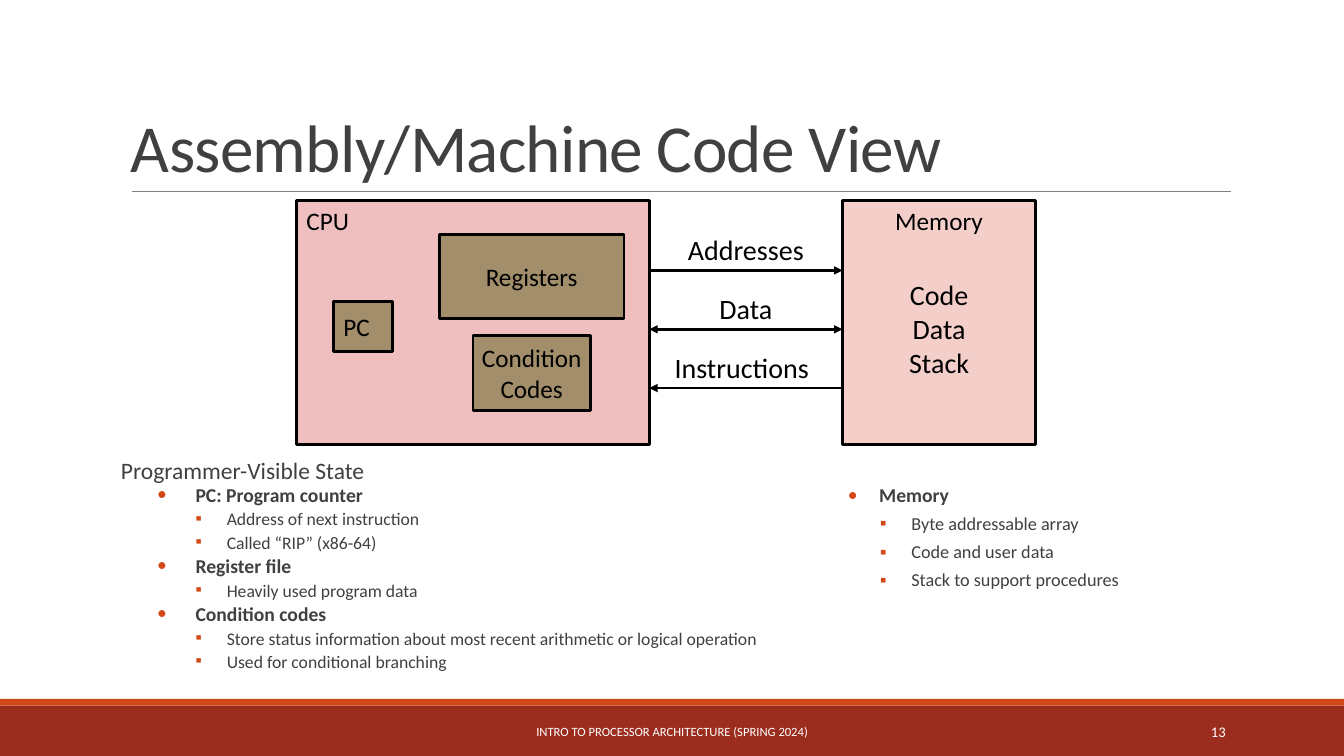
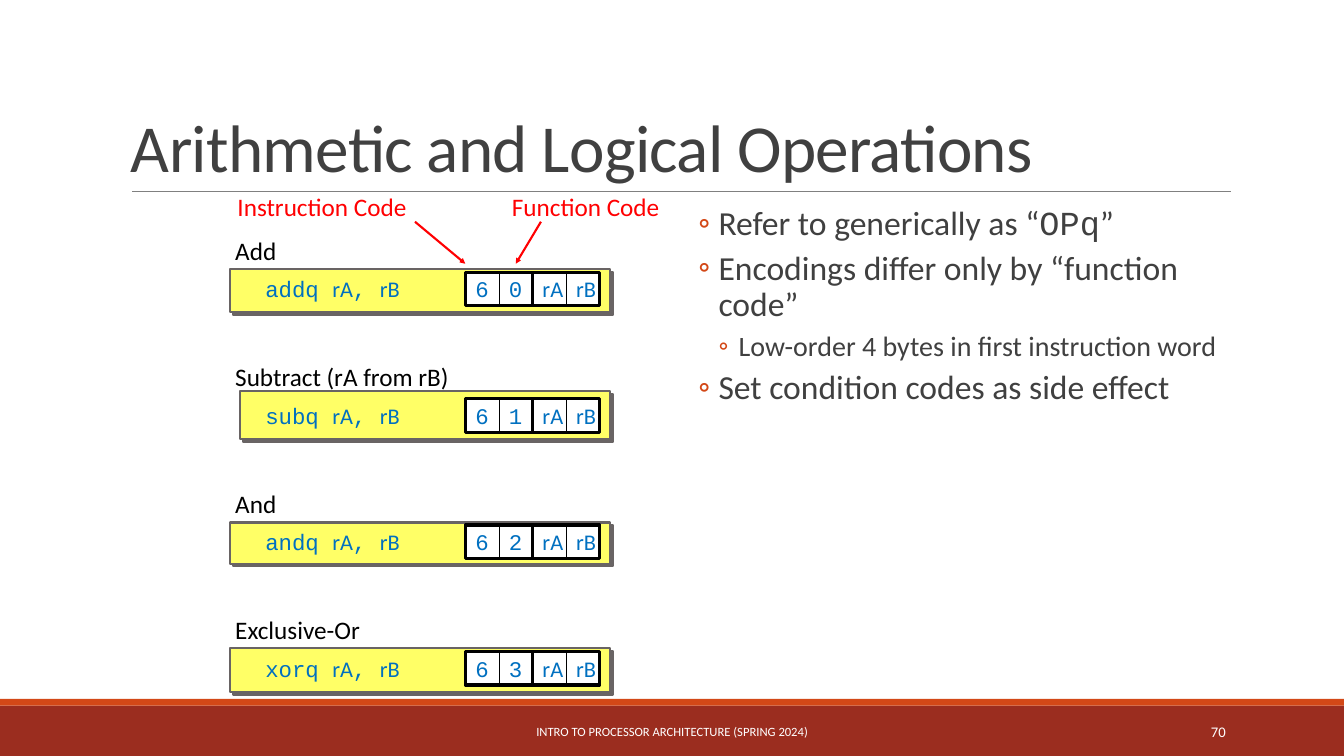
from dataclasses import dataclass

from lxml import etree
from pptx import Presentation
from pptx.dml.color import RGBColor
from pptx.enum.shapes import MSO_CONNECTOR, MSO_SHAPE
from pptx.enum.text import MSO_ANCHOR, PP_ALIGN
from pptx.oxml.ns import qn
from pptx.util import Inches, Pt

RECT, STRAIGHT = MSO_SHAPE.RECTANGLE, MSO_CONNECTOR.STRAIGHT
LEFT, CENTER, RIGHT = PP_ALIGN.LEFT, PP_ALIGN.CENTER, PP_ALIGN.RIGHT
TOP, MIDDLE, BOTTOM = MSO_ANCHOR.TOP, MSO_ANCHOR.MIDDLE, MSO_ANCHOR.BOTTOM
COLUMNS, ROWS = 160, 90
FOOTER = "INTRO TO PROCESSOR ARCHITECTURE (SPRING 2024)"


@dataclass(frozen=True)
class Theme:
    """Colours, fonts and type sizes of the deck."""
    sans: str = "Calibri"
    mono: str = "Courier New"
    ink: str = "404040"
    black: str = "000000"
    white: str = "FFFFFF"
    rule: str = "808080"
    band: str = "9B2D1F"
    accent: str = "D34817"
    cpu: str = "EFBFBF"
    memory: str = "F4CEC9"
    unit: str = "A28E6A"
    bar: str = "FFFF66"
    bar_edge: str = "696464"
    code: str = "0070C0"
    callout: str = "FF0002"
    title_size: float = 48
    label_size: float = 18
    flow_size: float = 20
    code_size: float = 16
    footer_size: float = 9
    number_size: float = 10.5


@dataclass(frozen=True)
class Level:
    """Look of one outline level; indents in inches."""
    size: float
    bullet: str = ""
    margin: float = 0
    hang: float = 0
    bold: bool = False
    after: float = 4


@dataclass(frozen=True)
class Box:
    """A region in grid columns and rows."""
    x: float
    y: float
    w: float
    h: float

    def inner(self, x, y, w, h):
        """Return a region measured from this one's corner."""
        return Box(self.x + x, self.y + y, w, h)


THEME = Theme()
STATE_LEVELS = (Level(16.8, after=2), Level(14, "•", 0.74, 0.38, True),
                Level(12.6, "▪", 1.05, 0.31))
MEMORY_LEVELS = (Level(14, "•", 0.44, 0.31, True), Level(13, "▪", 0.76, 0.31))
POINT_LEVELS = (Level(24, "◦", 0.42, 0.2), Level(20, "◦", 0.62, 0.2))


def grid(*cells):
    """Convert grid cells to slide lengths."""
    return [Inches(cell / 12) for cell in cells]


def rgb(colour):
    """Return a colour object."""
    return RGBColor.from_string(colour)


def add_runs(paragraph, runs, size, colour, bold=False):
    """Add (text, font) runs to a paragraph and return them."""
    added = []
    for text, font in runs:
        run = paragraph.add_run()
        run.text = text
        run.font.name, run.font.size, run.font.bold = font, Pt(size), bold
        run.font.color.rgb = rgb(colour)
        added.append(run)
    return added


def setup_frame(holder, anchor=TOP, wrap=True, side=0.1):
    """Set anchor, wrapping and insets of a text frame."""
    frame = holder.text_frame
    frame.word_wrap, frame.vertical_anchor = wrap, anchor
    frame.margin_left = frame.margin_right = Inches(side)
    frame.margin_top = frame.margin_bottom = Inches(0.05)
    return frame


def write(holder, lines, size, colour, align=LEFT, font=THEME.sans, **layout):
    """Write plain lines, or lists of runs, into a shape."""
    frame = setup_frame(holder, **layout)
    for index, line in enumerate(lines):
        paragraph = frame.add_paragraph() if index else frame.paragraphs[0]
        paragraph.alignment = align
        add_runs(paragraph, [(line, font)] if isinstance(line, str) else line, size, colour)
    return frame


def text(slide, box, lines, size, colour, **layout):
    """Add a text box."""
    holder = slide.shapes.add_textbox(*grid(box.x, box.y, box.w, box.h))
    return write(holder, lines, size, colour, **layout)


def block(slide, box, fill=None, line=None, width=2):
    """Add a flat rectangle."""
    shape = slide.shapes.add_shape(RECT, *grid(box.x, box.y, box.w, box.h))
    shape.shadow.inherit = False
    if fill:
        shape.fill.solid()
        shape.fill.fore_color.rgb = rgb(fill)
    else:
        shape.fill.background()
    if line:
        shape.line.color.rgb = rgb(line)
        shape.line.width = Pt(width)
    else:
        shape.line.fill.background()
    return shape


def line(slide, start, end, colour, width, ends=(), head_size="med"):
    """Add a straight line with optional arrowheads."""
    connector = slide.shapes.add_connector(STRAIGHT, *grid(*start, *end))
    connector.line.color.rgb = rgb(colour)
    connector.line.width = Pt(width)
    properties = connector.element.spPr
    for end_name in ends:
        etree.SubElement(properties.find(qn("a:ln")), qn(f"a:{end_name}End"),
                         type="triangle", w=head_size, len=head_size)
    etree.SubElement(properties, qn("a:effectLst"))


def cast_shadow(shape, colour):
    """Give a shape a hard shadow to the lower right."""
    effects = shape.element.spPr.find(qn("a:effectLst"))
    shadow = etree.SubElement(effects, qn("a:outerShdw"), dist=str(Pt(2.8)),
                              dir="2700000", algn="ctr", rotWithShape="0")
    etree.SubElement(shadow, qn("a:srgbClr"), val=colour)


def outline(slide, box, items, levels, spacing, side=0.1):
    """Write (level, runs) items as a bulleted outline."""
    holder = slide.shapes.add_textbox(*grid(box.x, box.y, box.w, box.h))
    frame = setup_frame(holder, side=side)
    for index, (depth, runs) in enumerate(items):
        level = levels[depth]
        paragraph = frame.add_paragraph() if index else frame.paragraphs[0]
        if level.bullet:
            properties = paragraph._p.get_or_add_pPr()
            properties.set("marL", str(Inches(level.margin)))
            properties.set("indent", str(-Inches(level.hang)))
            tint = etree.SubElement(properties, qn("a:buClr"))
            etree.SubElement(tint, qn("a:srgbClr"), val=THEME.accent)
            etree.SubElement(properties, qn("a:buFont"), typeface=THEME.sans)
            etree.SubElement(properties, qn("a:buChar"), char=level.bullet)
        paragraph.line_spacing = spacing
        paragraph.space_before = Pt(2 if index else 0)
        paragraph.space_after = Pt(level.after)
        if isinstance(runs, str):
            runs = [(runs, THEME.sans)]
        add_runs(paragraph, runs, level.size, THEME.ink, level.bold)


def base_slide(deck, title, number):
    """Add a slide with title, rule, bands and footer."""
    slide = deck.slides.add_slide(deck.slide_layouts[6])
    block(slide, Box(0, 84, COLUMNS, 6), THEME.band)
    block(slide, Box(0, 83.2, COLUMNS, 0.8), THEME.accent)
    line(slide, (15.75, 22.8), (146.5, 22.8), THEME.rule, 0.5)
    heading = text(slide, Box(14.4, 3.7, 132, 19.1), [title], THEME.title_size,
                   THEME.ink, anchor=BOTTOM).paragraphs[0]
    heading.line_spacing = 0.85
    heading.runs[0].font._element.set("spc", "-50")
    text(slide, Box(48.4, 84.7, 63.2, 4.8), [FOOTER], THEME.footer_size,
         THEME.white, align=CENTER, anchor=MIDDLE)
    text(slide, Box(130, 84.7, 17.1, 4.8), [str(number)], THEME.number_size,
         THEME.white, align=RIGHT, anchor=MIDDLE)
    return slide


def machine_diagram(slide, box):
    """Draw the CPU, the memory and the traffic between them."""
    cpu_w, memory_x, memory_w = 42, 65, 23
    label = (THEME.label_size, THEME.black)
    cpu = block(slide, box.inner(0, 0, cpu_w, box.h), THEME.cpu, THEME.black, 2.25)
    write(cpu, ["CPU"], *label)
    units = (
        (["PC"], LEFT, (4.4, 12, 7, 6)),
        (["Registers"], CENTER, (17, 4, 22, 10)),
        (["Condition", "Codes"], CENTER, (21, 16, 14, 9)),
    )
    for lines, align, place in units:
        unit = block(slide, box.inner(*place), THEME.unit, THEME.black)
        write(unit, lines, *label, align=align, anchor=MIDDLE, wrap=False)
    memory = block(slide, box.inner(memory_x, 0, memory_w, box.h), THEME.memory, THEME.black)
    write(memory, ["Memory"], *label, align=CENTER, wrap=False)
    text(slide, box.inner(69, 8.6, 15, 13.3), ["Code", "Data", "Stack"],
         THEME.flow_size, THEME.black, align=CENTER)
    flows = (("Addresses", 23, ["tail"]), ("Data", 23, ["head", "tail"]),
             ("Instructions", 22, ["head"]))
    for index, (name, width, ends) in enumerate(flows):
        y = 8.3 + 7 * index
        line(slide, (box.x + cpu_w, box.y + y), (box.x + memory_x, box.y + y),
             THEME.black, 2, ends)
        text(slide, box.inner(cpu_w, y - 5.1, width, 5.1), [name],
             THEME.flow_size, THEME.black, align=CENTER)


def instruction(slide, box, name, mnemonic, function, bar_place):
    """Draw one instruction with its name, bar and encoding fields."""
    field, fields_x = box.h, 28
    text(slide, box.inner(0, -5, box.w, 4.9), [name], THEME.label_size,
         THEME.black, side=0.05, wrap=False)
    bar = block(slide, box.inner(*bar_place), THEME.bar, THEME.bar_edge, 1.5)
    cast_shadow(bar, THEME.bar_edge)
    syntax = [(mnemonic + " ", THEME.mono), ("rA", THEME.sans),
              (", ", THEME.mono), ("rB", THEME.sans)]
    text(slide, box.inner(3, 0, 25, field), [syntax], THEME.code_size,
         THEME.code, anchor=MIDDLE, wrap=False)
    fields = ("6", THEME.mono), (function, THEME.mono), ("rA", THEME.sans), ("rB", THEME.sans)
    for index, content in enumerate(fields):
        cell = block(slide, box.inner(fields_x + index * field, 0, field, field),
                     THEME.white, THEME.black, 0.5)
        write(cell, [[content]], THEME.code_size, THEME.code, anchor=MIDDLE, wrap=False)
        if index % 2:
            block(slide, box.inner(fields_x + (index - 1) * field, 0, 2 * field, field),
                  line=THEME.black, width=2.25)


def instruction_list(slide, box):
    """Stack the four instructions and point out the code fields."""
    instructions = (
        ("Add", "addq", "0", (0, -0.4, 45.2, 5.2)),
        ("Subtract (rA from rB)", "subq", "1", (1.2, -0.9, 44, 5.7)),
        ("And", "andq", "2", (0, -0.3, 45.2, 4.9)),
        ("Exclusive-Or", "xorq", "3", (0, -0.4, 45.2, 5.2)),
    )
    for index, parts in enumerate(instructions):
        instruction(slide, box.inner(0, 10.2 + 15.05 * index, box.w, 4), *parts)
    callouts = (("Instruction Code", 0, 21.6, 22, 28), ("Function Code", 32.6, 19.1, 37, 34))
    for name, x, width, start, end in callouts:
        line(slide, (box.x + start, box.y + 4.2), (box.x + end, box.y + 9.2),
             THEME.callout, 1.5, ["tail"], "sm")
        text(slide, box.inner(x, 0, width, 4.9), [name], THEME.label_size,
             THEME.callout, align=RIGHT, side=0.05, wrap=False)


def code_view_slide(deck):
    """Build the slide on the machine as seen by the programmer."""
    slide = base_slide(deck, "Assembly/Machine Code View", 13)
    state = (
        (0, "Programmer-Visible State"),
        (1, "PC: Program counter"),
        (2, "Address of next instruction"),
        (2, "Called “RIP” (x86-64)"),
        (1, "Register file"),
        (2, "Heavily used program data"),
        (1, "Condition codes"),
        (2, "Store status information about most recent arithmetic or logical operation"),
        (2, "Used for conditional branching"),
    )
    memory = ((0, "Memory"), (1, "Byte addressable array"), (1, "Code and user data"),
              (1, "Stack to support procedures"))
    outline(slide, Box(14.4, 54.6, 82.1, 27.7), state, STATE_LEVELS, 0.7, side=0)
    machine_diagram(slide, Box(35.3, 23.9, 88, 29))
    outline(slide, Box(98.2, 57.2, 47.5, 20.6), memory, MEMORY_LEVELS, 0.9)


def operations_slide(deck):
    """Build the slide on arithmetic and logical instructions."""
    slide = base_slide(deck, "Arithmetic and Logical Operations", 70)
    points = (
        (0, [("Refer to generically as “", THEME.sans), ("OPq", THEME.mono), ("”", THEME.sans)]),
        (0, "Encodings differ only by “function code”"),
        (1, "Low-order 4 bytes in first instruction word"),
        (0, "Set condition codes as side effect"),
    )
    outline(slide, Box(80.5, 24, 65.9, 59.4), points, POINT_LEVELS, 0.9, side=0)
    instruction_list(slide, Box(27.4, 22.2, 52, 60))


def main():
    """Build and save the deck."""
    deck = Presentation()
    deck.slide_width, deck.slide_height = grid(COLUMNS, ROWS)
    code_view_slide(deck)
    operations_slide(deck)
    deck.save("out.pptx")


if __name__ == "__main__":
    main()
